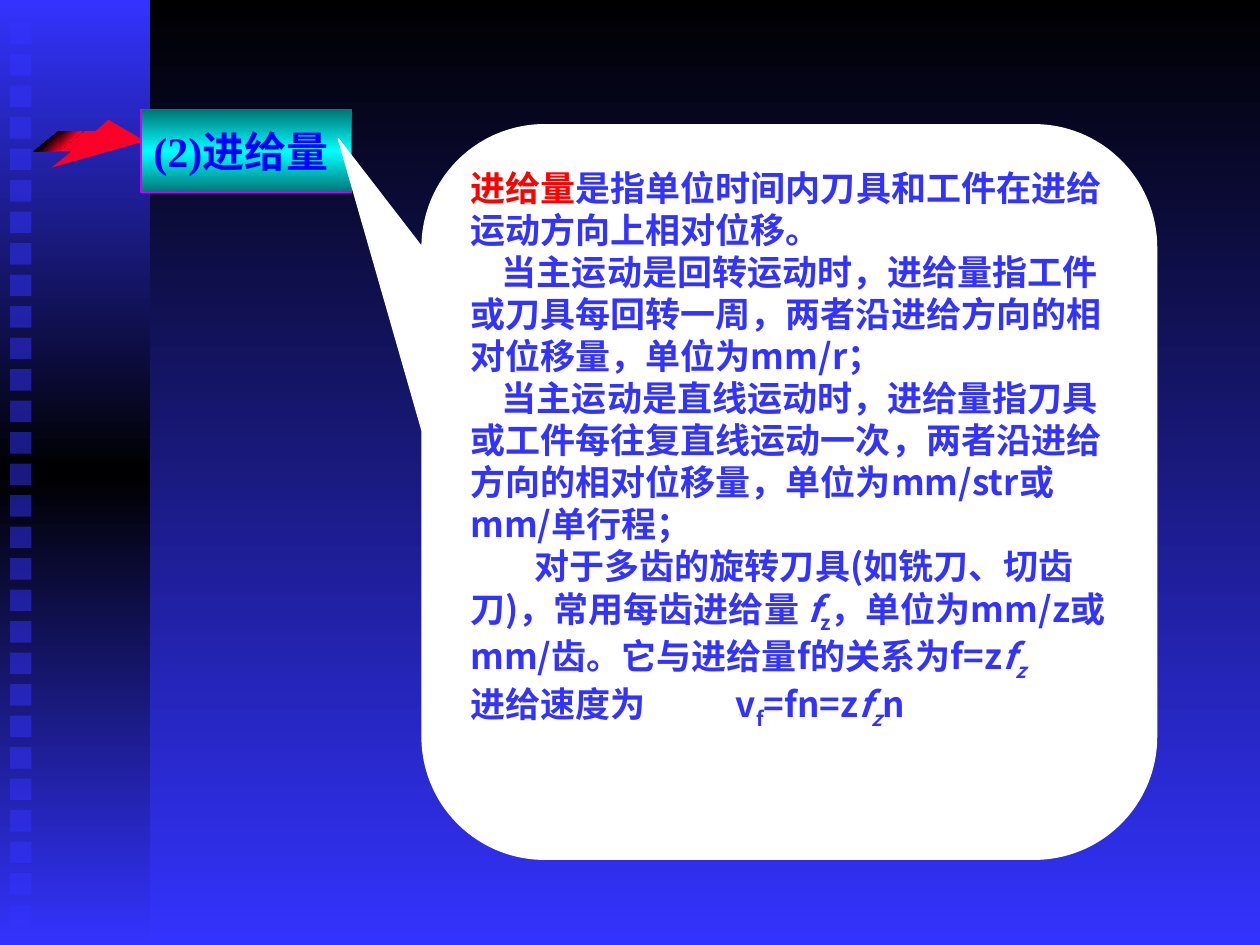
import copy

import pptx
import pptx.dml.color
import pptx.enum.shapes
import pptx.enum.text
import pptx.oxml
import pptx.oxml.ns
import pptx.util
from pptx.util import Inches

# Content: a run is its text, followed by any of "red", "italic", "sub", "wide"
TITLE = "(2)进给量"
CJK_FONT = "Noto Sans CJK SC"
# Each paragraph: first-line indent in inches, then its runs
EXPLANATION = [
    (0, [("进给量", "red"), ("是指单位时间内刀具和工件在进给运动方向上相对位移。",)]),
    (0.25, [("当主运动是回转运动时，进给量指工件或刀具每回转一周，两者沿进给方向的相对位移量，单位为mm/r；",)]),
    (0.25, [("当主运动是直线运动时，进给量指刀具或工件每往复直线运动一次，两者沿进给方向的相对位移量，单位为mm/str或mm/单行程；",)]),
    (0.51, [("对于多齿的旋转刀具(如铣刀、切齿刀)，常用每齿进给量 ",), ("f", "italic"), ("z", "sub"),
            ("，单位为mm/z或mm/齿。它与进给量f的关系为f=z",), ("f", "italic"), ("z", "italic", "sub")]),
    (0, [("进给速度为",), (" ", "wide"), ("v",), ("f", "sub"), ("=fn=z",),
         ("f", "italic"), ("z", "italic", "sub"), ("n",)]),
]
WIDE_SPACING = 47  # points added after the space before the formula

# Arrow parts: outline points, then fill colours
RED, BLUE = "FC0128", "3333FF"
ARROW = [
    ([(1.15, 1.12), (0.86, 0.95), (0.76, 1.04), (0.47, 1.04), (0.27, 1.2), (0.57, 1.2), (0.41, 1.33)], [RED]),
    ([(0.47, 1.04), (0.47, 1.2), (0.27, 1.2)], [RED, "000000", RED]),
    ([(0.66, 1.04), (0.47, 1.04), (0.47, 1.2)], ["000000", RED, "000000"]),
]
SQUARE_COUNT, SQUARE_SIZE, SQUARE_STEP = 29, 0.17, 0.25


def color(value):
    return pptx.dml.color.RGBColor.from_string(value)


def set_fill(fill, colors, angle=90):
    """Fill with one colour, or with evenly spaced stops at a clockwise angle."""
    if len(colors) == 1:
        fill.solid()
        fill.fore_color.rgb = color(colors[0])
        return
    fill.gradient()
    fill.gradient_angle = 360 - angle
    first = fill.gradient_stops[0]._gs
    for _ in colors[2:]:
        first.addnext(copy.deepcopy(first))
    for index, (stop, value) in enumerate(zip(fill.gradient_stops, colors)):
        stop.color.rgb = color(value)
        stop.position = index / (len(colors) - 1)


def style(shape, colors, angle=90, line=None):
    shape.shadow.inherit = False
    set_fill(shape.fill, colors, angle)
    if line:
        shape.line.color.rgb = color(line)
        shape.line.width = pptx.util.Pt(0.75)
    else:
        shape.line.fill.background()
    return shape


def add_box(slide, kind, box, colors, line=None):
    shape = slide.shapes.add_shape(kind, *map(Inches, box))
    return style(shape, colors, line=line)


def set_frame(shape, margin_y, wrap):
    frame = shape.text_frame
    frame.word_wrap = wrap
    frame.vertical_anchor = pptx.enum.text.MSO_ANCHOR.TOP
    frame.margin_left = frame.margin_right = Inches(0.1)
    frame.margin_top = frame.margin_bottom = Inches(margin_y)
    return frame


def add_text(paragraph, text, size=20, font=CJK_FONT, fill=BLUE, italic=False,
             subscript=False, spacing=0):
    paragraph.alignment = pptx.enum.text.PP_ALIGN.LEFT
    run = paragraph.add_run()
    run.text = text
    run.font.size = pptx.util.Pt(size)
    run.font.bold = True
    run.font.italic = italic
    run.font.color.rgb = color(fill)
    run.font.name = font
    properties = run._r.get_or_add_rPr()
    east_asian = pptx.oxml.parse_xml(
        f'<a:ea {pptx.oxml.ns.nsdecls("a")} typeface="{CJK_FONT}"/>')
    properties.find(pptx.oxml.ns.qn("a:latin")).addnext(east_asian)
    if subscript:
        properties.set("baseline", "-25000")
    if spacing:
        properties.set("spc", str(spacing * 100))


def main():
    shapes = pptx.enum.shapes.MSO_SHAPE
    presentation = pptx.Presentation()
    presentation.slide_width, presentation.slide_height = Inches(10), Inches(7.5)
    slide = presentation.slides.add_slide(presentation.slide_layouts[6])
    set_fill(slide.background.fill, ["000000", BLUE])

    # Side band with its column of translucent squares
    add_box(slide, shapes.RECTANGLE, (0, 0, 1.19, 7.5), [BLUE, "000000", BLUE])
    for index in range(SQUARE_COUNT):
        top = 0.18 + index * SQUARE_STEP
        square = add_box(slide, shapes.RECTANGLE, (0.08, top, SQUARE_SIZE, SQUARE_SIZE), [BLUE])
        fill_color = square._element.spPr.find(".//" + pptx.oxml.ns.qn("a:srgbClr"))
        fill_color.append(pptx.oxml.parse_xml(
            f'<a:alpha {pptx.oxml.ns.nsdecls("a")} val="50000"/>'))

    # Arrow pointing at the title
    for points, colors in ARROW:
        outline = [(Inches(x), Inches(y)) for x, y in points]
        builder = slide.shapes.build_freeform(*outline[0])
        builder.add_line_segments(outline[1:], close=True)
        style(builder.convert_to_shape(), colors, angle=225)

    # Title box
    title = add_box(slide, shapes.RECTANGLE, (1.12, 0.87, 1.67, 0.66),
                    ["007575", "00FFFF", "007575"], line="CC00FF")
    frame = set_frame(title, margin_y=0.13, wrap=False)
    add_text(frame.paragraphs[0], TITLE, size=24, font="Times New Roman", fill="0000FF")

    # Callout with the explanation
    callout = add_box(slide, shapes.ROUNDED_RECTANGULAR_CALLOUT, (3.35, 0.99, 5.83, 5.83),
                      ["FFFFFF"], line="FFFFFF")
    for index, value in enumerate((-0.614, -0.481, 0.167)):
        callout.adjustments[index] = value
    frame = set_frame(callout, margin_y=0.05, wrap=True)
    for index, (indent, runs) in enumerate(EXPLANATION):
        paragraph = frame.add_paragraph() if index else frame.paragraphs[0]
        paragraph._p.get_or_add_pPr().set("indent", str(Inches(indent)))
        for text, *marks in runs:
            add_text(paragraph, text, fill="FF0000" if "red" in marks else BLUE,
                     italic="italic" in marks, subscript="sub" in marks,
                     spacing=WIDE_SPACING if "wide" in marks else 0)

    presentation.save("out.pptx")


if __name__ == "__main__":
    main()
